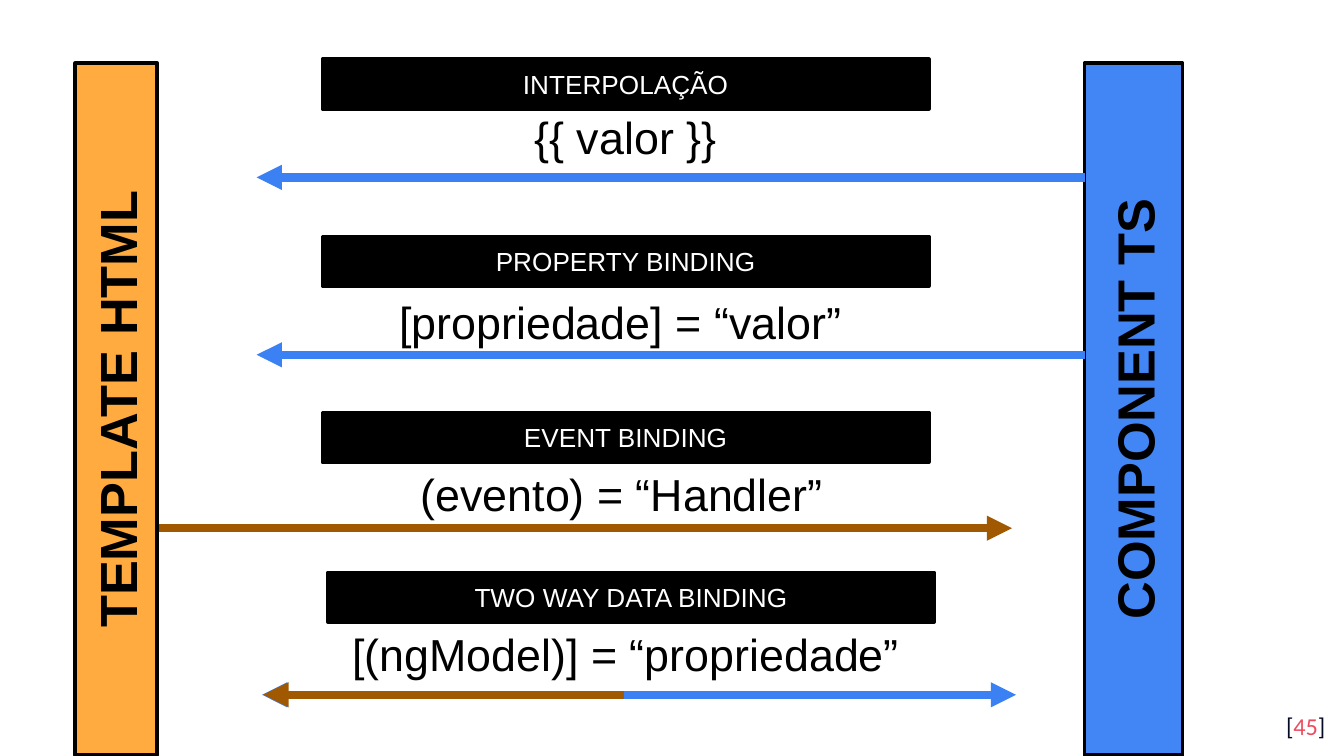
from dataclasses import dataclass
from typing import NamedTuple

from pptx import Presentation
from pptx.dml.color import RGBColor
from pptx.enum.shapes import MSO_CONNECTOR as Connector, MSO_SHAPE as Preset
from pptx.enum.text import MSO_ANCHOR as Anchor, PP_ALIGN as Align
from pptx.oxml.ns import qn
from pptx.util import Inches, Pt
from lxml.etree import SubElement


@dataclass(frozen=True)
class Theme:
    black: str = "000000"
    white: str = "FFFFFF"
    template: str = "FFAB40"
    component: str = "4285F4"
    to_template: str = "3C81F3"
    to_component: str = "A05900"
    bracket: str = "040A24"
    number: str = "EA4E60"
    font: str = "Arial"
    number_font: str = "Calibri"
    side_size: float = 28
    code_size: float = 24
    label_size: float = 14
    number_size: float = 13
    outline: float = 2
    arrow: float = 4.5


THEME = Theme()


class Area(NamedTuple):
    left: float
    top: float
    width: float
    height: float


class Side(NamedTuple):
    text: str
    left: float
    thickness: float
    fill: str


class Arrow(NamedTuple):
    start: float
    end: float
    y: float
    color: str
    ends: tuple = ("tailEnd",)


class Binding(NamedTuple):
    label: str
    label_left: float
    label_top: float
    code: str
    code_left: float
    code_top: float
    arrows: tuple


SIDE_TOP, SIDE_LENGTH = 0.47, 5.15
BAND_WIDTH, LABEL_HEIGHT, CODE_HEIGHT = 4.51, 0.37, 0.44

SIDES = (
    Side("TEMPLATE HTML", 0.56, 0.61, THEME.template),
    Side("COMPONENT TS", 8.07, 0.73, THEME.component),
)

BINDINGS = (
    Binding("INTERPOLAÇÃO", 2.4, 0.44, "{{ valor }}", 2.4, 0.8,
            (Arrow(8.07, 1.91, 1.32, THEME.to_template),)),
    Binding("PROPERTY BINDING", 2.4, 1.76, "[propriedade] = “valor”", 2.36, 2.17,
            (Arrow(8.07, 1.91, 2.64, THEME.to_template),)),
    Binding("EVENT BINDING", 2.4, 3.07, "(evento) = “Handler”", 2.37, 3.45,
            (Arrow(1.18, 7.53, 3.93, THEME.to_component),)),
    Binding("TWO WAY DATA BINDING", 2.44, 4.26, "[(ngModel)] = “propriedade”", 2.4, 4.64,
            (Arrow(1.95, 7.56, 5.17, THEME.to_template, ("headEnd", "tailEnd")),
             Arrow(4.64, 1.96, 5.17, THEME.to_component))),
)


def add_span(para, text: str, color: str, **formats) -> None:
    span = para.add_run()
    span.text = text
    span.font.color.rgb = RGBColor.from_string(color)
    for name, value in formats.items():
        setattr(span.font, name, value)


def write_centered(box, text: str, color: str, size: float, bold: bool = False) -> None:
    frame = box.text_frame
    frame.word_wrap = True
    frame.vertical_anchor = Anchor.MIDDLE
    para = frame.paragraphs[0]
    para.alignment = Align.CENTER
    add_span(para, text, color, name=THEME.font, size=Pt(size), bold=bold)


def add_block(page, area: Area, fill: str):
    box = page.shapes.add_shape(Preset.RECTANGLE, *map(Inches, area))
    box.shadow.inherit = False
    box.fill.solid()
    box.fill.fore_color.rgb = RGBColor.from_string(fill)
    box.line.color.rgb = RGBColor.from_string(THEME.black)
    box.line.width = Pt(THEME.outline)
    return box


def add_side(page, side: Side) -> None:
    shift = (SIDE_LENGTH - side.thickness) / 2
    area = Area(side.left - shift, SIDE_TOP + shift, SIDE_LENGTH, side.thickness)
    box = add_block(page, area, side.fill)
    box.rotation = 270
    write_centered(box, side.text, THEME.black, THEME.side_size, bold=True)


def add_arrow(page, arrow: Arrow) -> None:
    ends = map(Inches, (arrow.start, arrow.y, arrow.end, arrow.y))
    line = page.shapes.add_connector(Connector.STRAIGHT, *ends)
    line.line.color.rgb = RGBColor.from_string(arrow.color)
    line.line.width = Pt(THEME.arrow)
    outline = line.line._get_or_add_ln()
    for end in arrow.ends:
        SubElement(outline, qn(f"a:{end}"), type="triangle")
    SubElement(line._element.spPr, qn("a:effectLst"))


def add_binding(page, binding: Binding) -> None:
    label_area = Area(binding.label_left, binding.label_top, BAND_WIDTH, LABEL_HEIGHT)
    code_area = Area(binding.code_left, binding.code_top, BAND_WIDTH, CODE_HEIGHT)
    first, *others = binding.arrows
    add_arrow(page, first)
    label = add_block(page, label_area, THEME.black)
    write_centered(label, binding.label, THEME.white, THEME.label_size)
    code = page.shapes.add_textbox(*map(Inches, code_area))
    write_centered(code, binding.code, THEME.black, THEME.code_size)
    for arrow in others:
        add_arrow(page, arrow)


def add_page_number(page, number: str) -> None:
    box = page.shapes.add_textbox(*map(Inches, Area(9.36, 5.19, 0.6, 0.43)))
    frame = box.text_frame
    formats = {"word_wrap": True, "margin_top": Inches(0.1), "margin_bottom": Inches(0.1)}
    for name, value in formats.items():
        setattr(frame, name, value)
    para = frame.paragraphs[0]
    para.alignment = Align.RIGHT
    for text, color in (("[", THEME.bracket), (number, THEME.number), ("]", THEME.bracket)):
        add_span(para, text, color, name=THEME.number_font, size=Pt(THEME.number_size))


def main() -> None:
    deck = Presentation()
    deck.slide_width = Inches(10)
    deck.slide_height = deck.slide_width * 9 // 16
    page = deck.slides.add_slide(deck.slide_layouts[6])
    add_page_number(page, "45")
    for side in SIDES:
        add_side(page, side)
    for binding in BINDINGS:
        add_binding(page, binding)
    deck.save("out.pptx")


if __name__ == "__main__":
    main()
